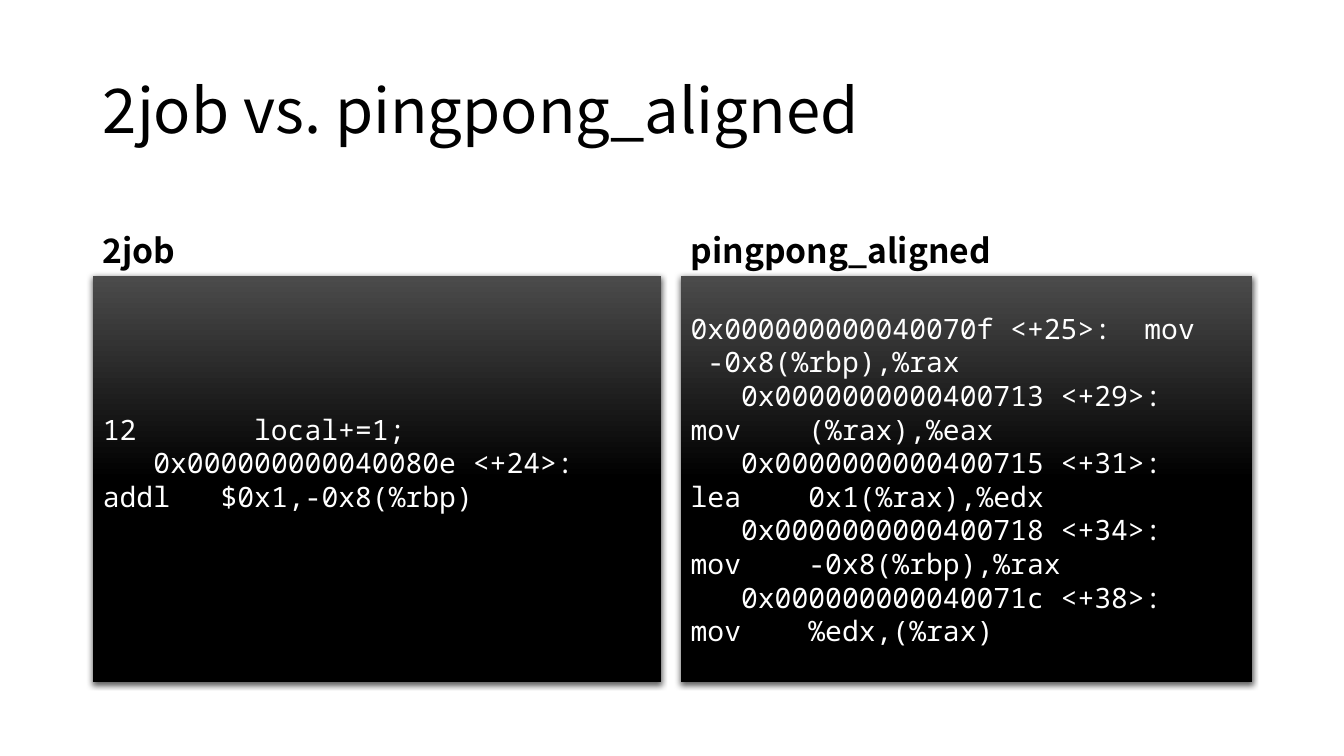
from dataclasses import dataclass

from lxml import etree
from pptx import Presentation
from pptx.dml.color import RGBColor
from pptx.enum.text import MSO_ANCHOR, MSO_AUTO_SIZE, PP_ALIGN
from pptx.oxml import parse_xml
from pptx.oxml.ns import nsdecls, qn
from pptx.util import Inches, Pt

LEFT = PP_ALIGN.LEFT
TOP_TO_BOTTOM = 270
COMPARISON_LAYOUT = 4


@dataclass(frozen=True)
class Theme:
    sans: str = "Noto Sans CJK TC"
    mono: str = "Noto Sans Mono"
    ink: RGBColor = RGBColor(0, 0, 0)
    code_ink: RGBColor = RGBColor(255, 255, 255)
    panel_top: RGBColor = RGBColor(0x4B, 0x4B, 0x4B)
    title_size: int = 44
    heading_size: int = 24
    code_size: int = 20


@dataclass(frozen=True)
class Listing:
    heading: str
    code: tuple[str, ...]
    left: float
    width: float
    bottom_inset: float
    heading_idx: int
    code_idx: int


THEME = Theme()
LISTINGS = (
    Listing("2job", (
        "12\t\t\tlocal+=1;",
        "   0x000000000040080e <+24>:\taddl   $0x1,-0x8(%rbp)",
    ), 0.92, 5.64, 0.38, 1, 2),
    Listing("pingpong_aligned", (
        "0x000000000040070f <+25>:\tmov    -0x8(%rbp),%rax",
        "   0x0000000000400713 <+29>:\tmov    (%rax),%eax",
        "   0x0000000000400715 <+31>:\tlea    0x1(%rax),%edx",
        "   0x0000000000400718 <+34>:\tmov    -0x8(%rbp),%rax",
        "   0x000000000040071c <+38>:\tmov    %edx,(%rax)",
    ), 6.75, 5.67, 0.05, 3, 4),
)


def place(sp, left: float, top: float, width: float, height: float) -> None:
    sp.left, sp.top = Inches(left), Inches(top)
    sp.width, sp.height = Inches(width), Inches(height)


def write(sp, text: str, anchor, font: str, size: int, color: RGBColor,
          bold: bool = False, spacing: float = 0.9, before: int = 0) -> None:
    tf = sp.text_frame
    tf.text = text
    tf.word_wrap = True
    tf.auto_size = MSO_AUTO_SIZE.NONE
    tf.vertical_anchor = anchor
    for p in tf.paragraphs:
        p.alignment = LEFT
        p.line_spacing = spacing
        p.space_before = Pt(before)
        for r in p.runs:
            r.font.name = font
            r.font.size = Pt(size)
            r.font.bold = bold
            r.font.color.rgb = color
            for tag in ("a:ea", "a:cs"):
                etree.SubElement(r.font._element, qn(tag)).set("typeface", font)


def remove_bullets(sp) -> None:
    for p in sp.text_frame.paragraphs:
        props = p._p.get_or_add_pPr()
        props.set("marL", "0")
        props.set("indent", "0")
        etree.SubElement(props, qn("a:buNone"))
        tabs = etree.SubElement(props, qn("a:tabLst"))
        for inch in range(1, 6):
            tab = etree.SubElement(tabs, qn("a:tab"))
            tab.set("pos", str(Inches(inch)))
            tab.set("algn", "l")


def paint_panel(sp) -> None:
    sp.fill.gradient()
    sp.fill.gradient_angle = TOP_TO_BOTTOM
    start, end = sp.fill.gradient_stops
    start.color.rgb, start.position = THEME.panel_top, 0
    end.color.rgb, end.position = THEME.ink, 0.5
    sp.line.fill.background()
    sp._element.spPr.append(parse_xml(
        f'<a:effectLst {nsdecls("a")}>'
        f'<a:outerShdw blurRad="{Pt(4.5)}" dist="{Pt(1.5)}" dir="5400000" '
        'algn="ctr" rotWithShape="0">'
        f'<a:srgbClr val="{THEME.ink}"><a:alpha val="63000"/></a:srgbClr>'
        '</a:outerShdw></a:effectLst>'))


def draw_listing(s, item: Listing) -> None:
    heading = s.placeholders[item.heading_idx]
    place(heading, item.left, 1.84, item.width, 0.9)
    write(heading, item.heading, MSO_ANCHOR.BOTTOM, THEME.sans,
          THEME.heading_size, THEME.ink, bold=True, before=10)

    panel = s.placeholders[item.code_idx]
    place(panel, item.left, 2.74, item.width, 4.03)
    paint_panel(panel)
    write(panel, "\n".join(item.code), MSO_ANCHOR.MIDDLE, THEME.mono,
          THEME.code_size, THEME.code_ink, spacing=1.0)
    panel.text_frame.margin_bottom = Inches(item.bottom_inset)
    remove_bullets(panel)


def main() -> None:
    prs = Presentation()
    prs.slide_width, prs.slide_height = Inches(13.33), Inches(7.5)
    s = prs.slides.add_slide(prs.slide_layouts[COMPARISON_LAYOUT])
    title = s.shapes.title
    place(title, 0.92, 0.4, 11.5, 1.45)
    write(title, "2job vs. pingpong_aligned", MSO_ANCHOR.MIDDLE, THEME.sans,
          THEME.title_size, THEME.ink)
    for item in LISTINGS:
        draw_listing(s, item)
    prs.save("out.pptx")


if __name__ == "__main__":
    main()
